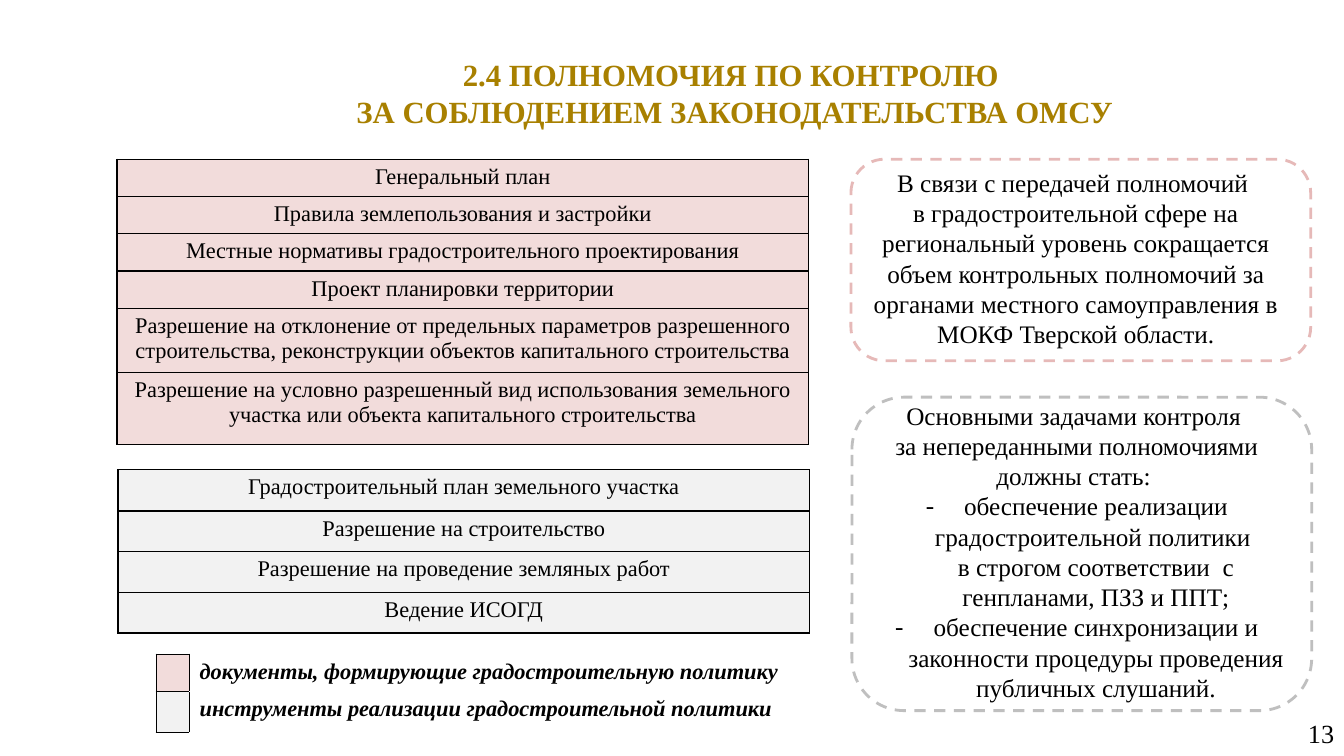
"""Build the slide on municipal powers of control over urban planning."""
from dataclasses import dataclass

from lxml import etree
from pptx import Presentation
from pptx import util as u
from pptx.dml.color import RGBColor
from pptx.enum import dml, shapes, text
from pptx.oxml import ns

PX = 9144
FACE = "Times New Roman"
BLACK = RGBColor(0x00, 0x00, 0x00)
GOLD = RGBColor(0xA8, 0x80, 0x00)
PINK = RGBColor(0xF2, 0xDC, 0xDB)
ROSE = RGBColor(0xE6, 0xB9, 0xB8)
PALE = RGBColor(0xF2, 0xF2, 0xF2)
GREY = RGBColor(0xBF, 0xBF, 0xBF)
MID = text.PP_ALIGN.CENTER
LEFT = text.PP_ALIGN.LEFT
RIGHT = text.PP_ALIGN.RIGHT


@dataclass
class Area:
    """A rectangle in px, 100 to the inch."""
    x: int
    y: int
    w: int
    h: int

    def emu(self) -> tuple[int, ...]:
        """Give the sides in EMU."""
        return tuple(v * PX for v in (self.x, self.y, self.w, self.h))


@dataclass
class Row:
    """A table row with its height in px."""
    label: str
    high: int


@dataclass
class Grid:
    """A one-column table of filled rows."""
    area: Area
    fill: RGBColor
    rows: list[Row]


@dataclass
class Note:
    """A text with the dashed frame around it."""
    area: Area
    frame: Area
    line: RGBColor
    lead: str
    tasks: list[str]


GRIDS = [
    Grid(Area(116, 158, 686, 282), PINK, [
        Row("Генеральный план", 37),
        Row("Правила землепользования и застройки", 37),
        Row("Местные нормативы градостроительного проектирования", 37),
        Row("Проект планировки территории", 37),
        Row("Разрешение на отклонение от предельных параметров разрешенного "
            "строительства, реконструкции объектов капитального строительства", 62),
        Row("Разрешение на условно разрешенный вид использования земельного "
            "участка или объекта капитального строительства", 72),
    ]),
    Grid(Area(117, 466, 686, 162), PALE, [
        Row("Градостроительный план земельного участка", 41),
        Row("Разрешение на строительство", 40),
        Row("Разрешение на проведение земляных работ", 41),
        Row("Ведение ИСОГД", 40),
    ]),
]
KEYS = [
    (PINK, Row("документы, формирующие градостроительную политику", 37)),
    (PALE, Row("инструменты реализации градостроительной политики", 41)),
]
NOTES = [
    Note(Area(844, 161, 446, 192), Area(844, 158, 456, 200), ROSE,
         "В связи с передачей полномочий \vв градостроительной сфере на "
         "региональный уровень сокращается объем контрольных полномочий за "
         "органами местного самоуправления в МОКФ Тверской области.", []),
    Note(Area(835, 392, 466, 313), Area(845, 394, 456, 311), GREY,
         "Основными задачами контроля \vза непереданными полномочиями "
         "должны стать: ",
         ["обеспечение реализации градостроительной политики \v"
          "в строгом соответствии  с генпланами, ПЗЗ и ППТ;",
          "обеспечение синхронизации и законности процедуры проведения "
          "публичных слушаний."]),
]


def style(para, size: float, align, ink: RGBColor = BLACK,
          bold: bool = False, slant: bool = False) -> None:
    """Set the look of one paragraph."""
    para.alignment = align
    font = para.font
    font.name, font.size, font.bold, font.italic = FACE, u.Pt(size), bold, slant
    font.color.rgb = ink


def bullet(para) -> None:
    """Give a paragraph a hanging dash."""
    props = para._p.get_or_add_pPr()
    props.set("marL", str(38 * PX))
    props.set("indent", str(-38 * PX))
    etree.SubElement(props, ns.qn("a:buFont"), typeface=FACE)
    etree.SubElement(props, ns.qn("a:buChar"), char="-")


def edge(cell, sides: str) -> None:
    """Draw thin black borders on the named sides of a cell."""
    props = cell._tc.get_or_add_tcPr()
    for spot, side in enumerate(sides):
        line = etree.Element(ns.qn(f"a:ln{side}"), w=str(u.Pt(1)))
        fill = etree.SubElement(line, ns.qn("a:solidFill"))
        etree.SubElement(fill, ns.qn("a:srgbClr"), val=str(BLACK))
        props.insert(spot, line)


def paint(cell, fill: RGBColor) -> None:
    """Fill and border a cell."""
    cell.fill.solid()
    cell.fill.fore_color.rgb = fill
    edge(cell, "LRTB")


def table(slide, area: Area, rows: list[Row], cols: list[int]):
    """Add a plain table with set columns and rows."""
    made = slide.shapes.add_table(len(rows), len(cols), *area.emu()).table
    made.first_row = made.horz_banding = False
    for col, wide in zip(made.columns, cols):
        col.width = wide * PX
    for line, row in zip(made.rows, rows):
        line.height = row.high * PX
    return made


def draw_grid(slide, grid: Grid) -> None:
    """Draw a one-column table."""
    made = table(slide, grid.area, grid.rows, [grid.area.w])
    for spot, row in enumerate(grid.rows):
        cell = made.cell(spot, 0)
        cell.text = row.label
        style(cell.text_frame.paragraphs[0], 16, MID)
        paint(cell, grid.fill)


def draw_keys(slide) -> None:
    """Draw the colour legend."""
    made = table(slide, Area(155, 649, 639, 78), [row for _, row in KEYS], [33, 606])
    for spot, (fill, row) in enumerate(KEYS):
        swatch, label = made.cell(spot, 0), made.cell(spot, 1)
        swatch.margin_top = swatch.margin_bottom = 0
        paint(swatch, fill)
        label.text = row.label
        style(label.text_frame.paragraphs[0], 16, LEFT, bold=True, slant=True)
        label.fill.background()
        edge(label, "L")


def draw_note(slide, note: Note) -> None:
    """Draw a note and its dashed frame."""
    body = slide.shapes.add_textbox(*note.area.emu()).text_frame
    body.word_wrap = True
    body.auto_size = text.MSO_AUTO_SIZE.SHAPE_TO_FIT_TEXT
    body.text = "\n".join([note.lead, *note.tasks])
    for spot, para in enumerate(body.paragraphs):
        if spot:
            bullet(para)
        style(para, 18, MID)
    frame = slide.shapes.add_shape(
        shapes.MSO_SHAPE.ROUNDED_RECTANGLE, *note.frame.emu())
    frame.shadow.inherit = False
    frame.fill.background()
    frame.line.color.rgb, frame.line.width = note.line, u.Pt(2)
    frame.line.dash_style = dml.MSO_LINE.DASH


def main() -> None:
    """Build and save the slide."""
    deck = Presentation()
    deck.slide_width, deck.slide_height = u.Inches(13.33), u.Inches(7.5)
    slide = deck.slides.add_slide(deck.slide_layouts[5])
    title = slide.shapes.title
    title.left, title.top, title.width, title.height = Area(109, 29, 1239, 125).emu()
    head = title.text_frame
    head.text = "2.4 ПОЛНОМОЧИЯ ПО КОНТРОЛЮ \vЗА СОБЛЮДЕНИЕМ ЗАКОНОДАТЕЛЬСТВА ОМСУ"
    head.auto_size = text.MSO_AUTO_SIZE.NONE
    head.vertical_anchor = text.MSO_ANCHOR.MIDDLE
    style(head.paragraphs[0], 22, MID, GOLD, bold=True)
    page = slide.shapes.add_textbox(*Area(1022, 707, 311, 40).emu()).text_frame
    page.word_wrap = True
    page.text = "13"
    style(page.paragraphs[0], 18.7, RIGHT)
    for grid in GRIDS:
        draw_grid(slide, grid)
    draw_keys(slide)
    for note in NOTES:
        draw_note(slide, note)
    deck.save("out.pptx")


if __name__ == "__main__":
    main()
